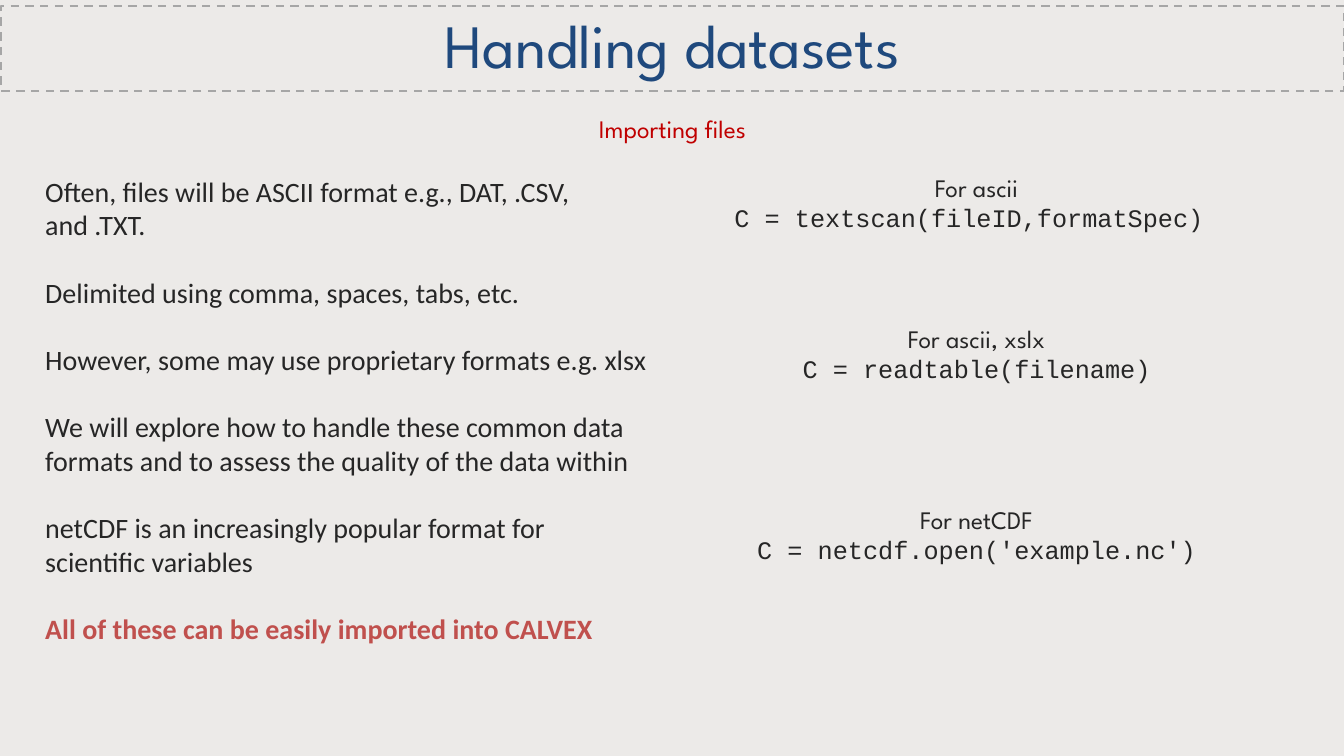
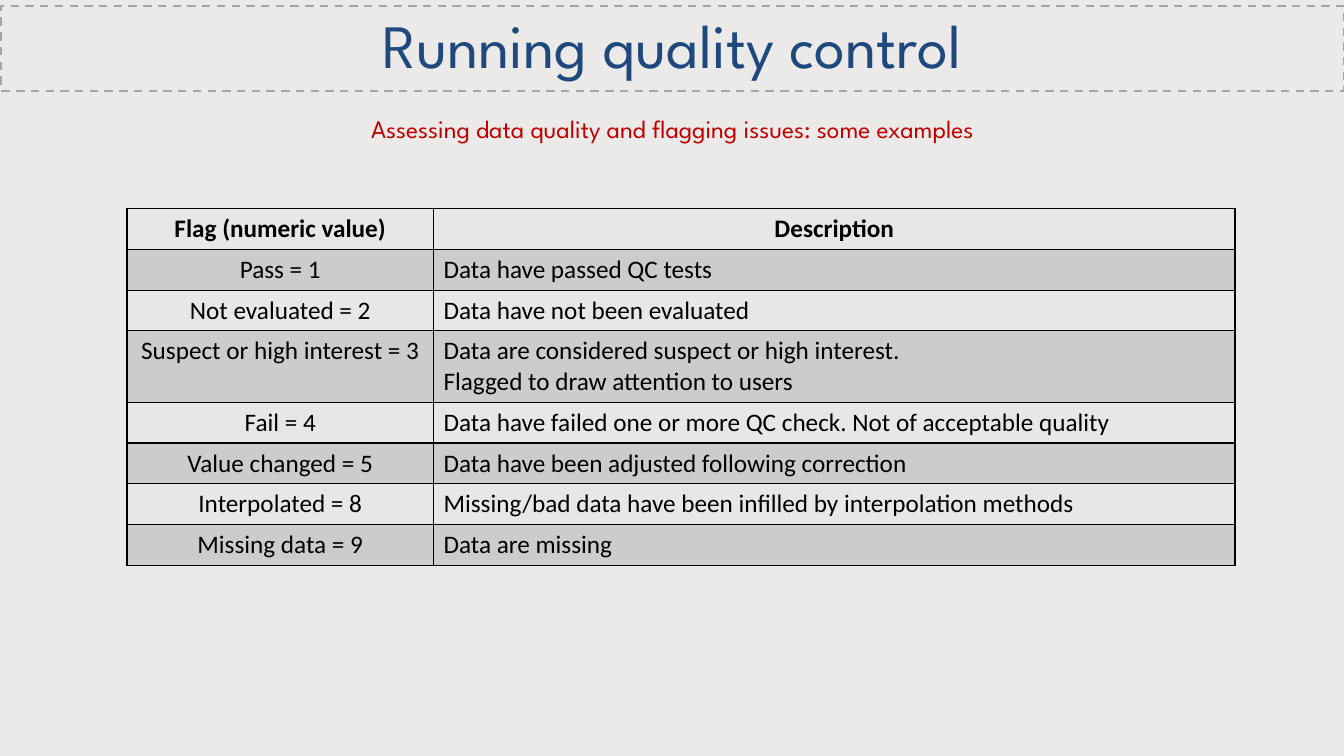
from dataclasses import dataclass
from typing import Any

from lxml.etree import SubElement
from pptx import Presentation
from pptx.dml.color import RGBColor
from pptx.enum.dml import MSO_LINE
from pptx.enum.shapes import MSO_SHAPE
from pptx.enum.text import MSO_ANCHOR, PP_ALIGN
from pptx.oxml.ns import qn
from pptx.util import Inches, Pt

SLIDE_W, SLIDE_H = 13.33, 7.5
EDGE, BAND_W = 0.01, 13.32
WASH, DASH, NAVY, RED = "82766A", "A6A6A6", "1F497D", "C00000"
INK, CORAL, BLACK = "262626", "C0504D", "000000"
ROW_FILLS = ("E7E7E7", "CCCCCC")
HEADING, BODY, CODE = "League Spartan", "Calibri", "Courier New"

TITLE_FORMAT = {"name": HEADING, "size": Pt(44)}
SUBTITLE_FORMAT = {"name": HEADING, "size": Pt(18)}
BODY_FORMAT = {"name": BODY, "size": Pt(20)}
CODE_FORMAT = {"name": CODE, "size": Pt(18)}
CELL_FORMAT = {"name": BODY, "size": Pt(18)}
BODY_GAP = 24
CENTER, LEFT = PP_ALIGN.CENTER, PP_ALIGN.LEFT


@dataclass
class Line:
    text: str
    format: dict[str, Any]
    color: str = INK
    align: PP_ALIGN = LEFT
    before: float = 0


@dataclass
class Command:
    formats: str
    code: str
    before: float = 0


@dataclass
class Flag:
    label: str
    description: str


NOTES = [
    "Often, files will be ASCII format e.g., DAT, .CSV, and .TXT.",
    "Delimited using comma, spaces, tabs, etc.",
    "However, some may use proprietary formats e.g. xlsx",
    "We will explore how to handle these common data formats and to assess "
    "the quality of the data within",
    "netCDF is an increasingly popular format for scientific variables",
]
CONCLUSION = "All of these can be easily imported into CALVEX"

COMMANDS = [
    Command("For ascii", "C = textscan(fileID,formatSpec) "),
    Command("For ascii, xslx", "C = readtable(filename)", 64.5),
    Command("For netCDF", "C = netcdf.open('example.nc')", 86),
]

FLAGS = [
    Flag("Flag (numeric value)", "Description"),
    Flag("Pass = 1", "Data have passed QC tests"),
    Flag("Not evaluated = 2", "Data have not been evaluated"),
    Flag("Suspect or high interest = 3",
         "Data are considered suspect or high interest.\n"
         "Flagged to draw attention to users"),
    Flag("Fail = 4",
         "Data have failed one or more QC check. Not of acceptable quality"),
    Flag("Value changed = 5", "Data have been adjusted following correction"),
    Flag("Interpolated = 8",
         "Missing/bad data have been infilled by interpolation methods"),
    Flag("Missing data = 9", "Data are missing"),
]
TABLE_H, TALL_ROW_H = 3.54, 0.71
ROW_H = (TABLE_H - TALL_ROW_H) / (len(FLAGS) - 1)
COLUMN_WIDTHS = (3.04, 7.95)


def rgb(color: str) -> RGBColor:
    return RGBColor.from_string(color)


def write(tf, lines: list[Line]) -> None:
    for i, line in enumerate(lines):
        p = tf.paragraphs[0] if i == 0 else tf.add_paragraph()
        p.alignment = line.align
        p.space_before = Pt(line.before)
        r = p.add_run()
        r.text = line.text
        for key, value in line.format.items():
            setattr(r.font, key, value)
        r.font.color.rgb = rgb(line.color)


def add_text(s, x: float, y: float, w: float, h: float,
             lines: list[Line]) -> None:
    box = s.shapes.add_textbox(Inches(x), Inches(y), Inches(w), Inches(h))
    box.text_frame.word_wrap = True
    write(box.text_frame, lines)


def add_rect(s, x: float, y: float, w: float, h: float):
    sp = s.shapes.add_shape(MSO_SHAPE.RECTANGLE, Inches(x), Inches(y),
                            Inches(w), Inches(h))
    sp.shadow.inherit = False
    return sp


def add_frame(prs, title: str, subtitle: str):
    """Add a slide with the shared wash, title band and subtitle."""
    s = prs.slides.add_slide(prs.slide_layouts[6])

    wash = add_rect(s, 0, 0, SLIDE_W, SLIDE_H)
    wash.fill.solid()
    wash.fill.fore_color.rgb = rgb(WASH)
    tint = wash.fill._xPr.find(".//" + qn("a:srgbClr"))
    SubElement(tint, qn("a:alpha"), val="15000")
    wash.line.fill.background()

    band = add_rect(s, EDGE, 0.06, BAND_W, 0.84)
    band.fill.background()
    band.line.color.rgb = rgb(DASH)
    band.line.width = Pt(1.5)
    band.line.dash_style = MSO_LINE.DASH
    tf = band.text_frame
    tf.word_wrap = True
    tf.vertical_anchor = MSO_ANCHOR.MIDDLE
    write(tf, [Line(title, TITLE_FORMAT, NAVY, CENTER)])
    tf.paragraphs[0].line_spacing = 0.9

    add_text(s, EDGE, 1.08, BAND_W, 0.4,
             [Line(subtitle, SUBTITLE_FORMAT, RED, CENTER)])
    return s


def add_borders(cell) -> None:
    """Draw the four borders; call before filling, as borders come first."""
    tc_pr = cell._tc.get_or_add_tcPr()
    for side in ("lnL", "lnR", "lnT", "lnB"):
        ln = SubElement(tc_pr, qn(f"a:{side}"), w=str(Pt(1)))
        fill = SubElement(ln, qn("a:solidFill"))
        SubElement(fill, qn("a:srgbClr"), val=BLACK)


def add_flag_table(s, x: float, y: float) -> None:
    frame = s.shapes.add_table(len(FLAGS), len(COLUMN_WIDTHS), Inches(x),
                               Inches(y), Inches(sum(COLUMN_WIDTHS)),
                               Inches(TABLE_H))
    table = frame.table
    table.first_row = table.horz_banding = False
    for column, width in zip(table.columns, COLUMN_WIDTHS):
        column.width = Inches(width)
    for i, flag in enumerate(FLAGS):
        is_tall = "\n" in flag.description
        table.rows[i].height = Inches(TALL_ROW_H if is_tall else ROW_H)
        cell_format = CELL_FORMAT | {"bold": i == 0}
        for j, text in enumerate((flag.label, flag.description)):
            cell = table.cell(i, j)
            add_borders(cell)
            cell.fill.solid()
            cell.fill.fore_color.rgb = rgb(ROW_FILLS[i % 2])
            align = CENTER if i == 0 or j == 0 else LEFT
            write(cell.text_frame, [Line(part, cell_format, BLACK, align)
                                    for part in text.split("\n")])


def add_datasets_slide(prs) -> None:
    s = add_frame(prs, "Handling datasets", "Importing files")
    notes = [Line(text, BODY_FORMAT, before=BODY_GAP if i else 0)
             for i, text in enumerate(NOTES)]
    notes.append(Line(CONCLUSION, BODY_FORMAT | {"bold": True}, CORAL,
                      before=BODY_GAP))
    add_text(s, 0.35, 1.68, 6.21, 4.81, notes)

    commands = []
    for command in COMMANDS:
        commands += [
            Line(command.formats, SUBTITLE_FORMAT, align=CENTER,
                 before=command.before),
            Line(command.code, CODE_FORMAT, align=CENTER),
        ]
    add_text(s, 6.58, 1.66, 6.21, 4.04, commands)


def add_quality_slide(prs) -> None:
    s = add_frame(prs, "Running quality control",
                  "Assessing data quality and flagging issues: some examples")
    add_flag_table(s, 1.26, 2.07)


def main() -> None:
    prs = Presentation()
    prs.slide_width, prs.slide_height = Inches(SLIDE_W), Inches(SLIDE_H)
    add_datasets_slide(prs)
    add_quality_slide(prs)
    prs.save("out.pptx")


if __name__ == "__main__":
    main()
